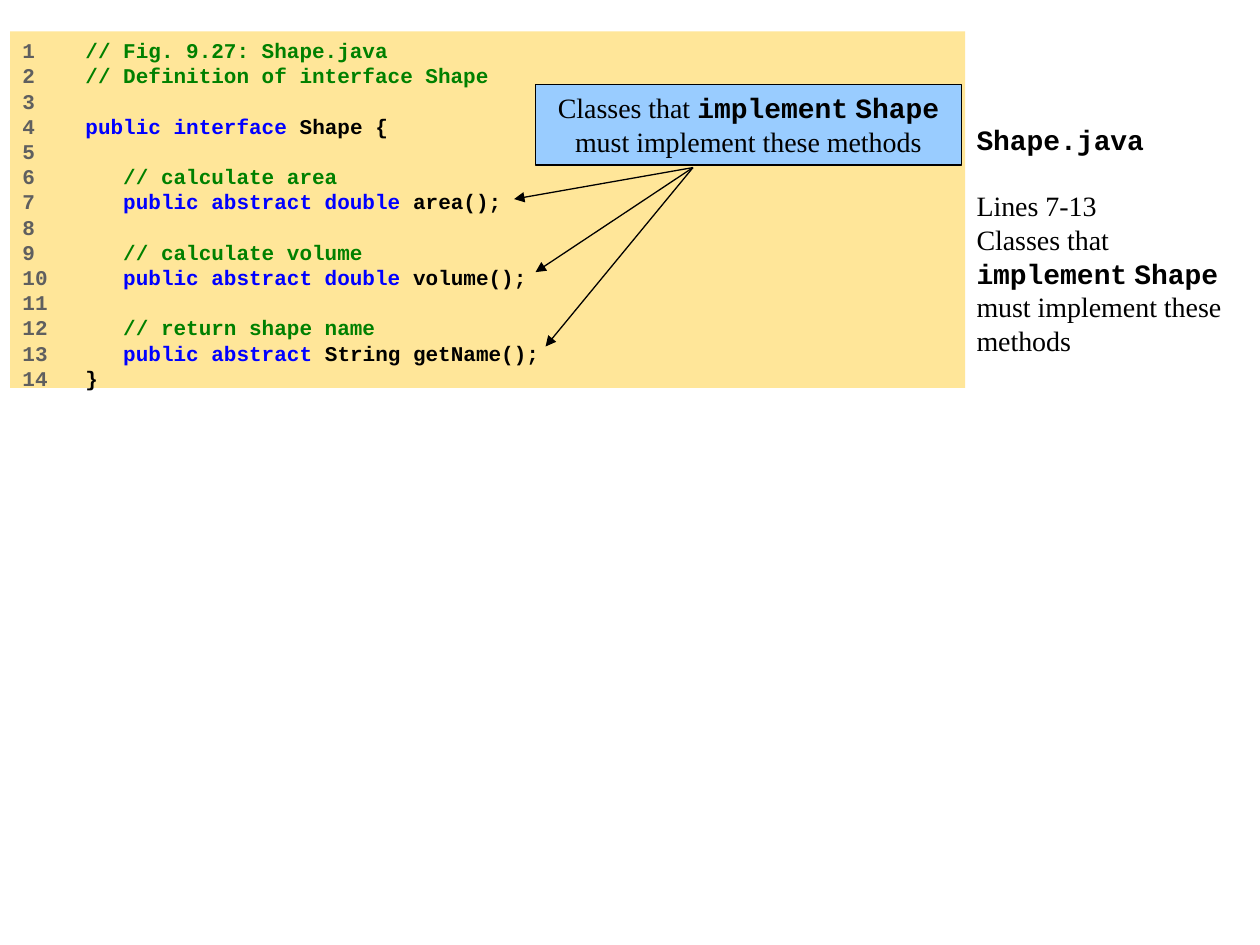
import pptx
import pptx.util
import pptx.dml.color
import pptx.enum.shapes
import pptx.enum.text
import pptx.oxml.ns
import lxml.etree

Inches, Pt = pptx.util.Inches, pptx.util.Pt
RGBColor = pptx.dml.color.RGBColor
ALIGN = pptx.enum.text.PP_ALIGN

BLACK = RGBColor(0x00, 0x00, 0x00)
GRAY = RGBColor(0x5F, 0x5F, 0x5F)
GREEN = RGBColor(0x00, 0x80, 0x00)
BLUE = RGBColor(0x00, 0x00, 0xFF)
CREAM = RGBColor(0xFF, 0xE6, 0x99)
SKY = RGBColor(0x99, 0xCC, 0xFF)
MONO, SERIF = "Courier New", "Times New Roman"

CODE = [
    [("// Fig. 9.27: Shape.java", GREEN)],
    [("// Definition of interface Shape", GREEN)],
    [],
    [("public interface", BLUE), (" Shape {", BLACK)],
    [],
    [("   // calculate area", GREEN)],
    [("   public abstract double ", BLUE), ("area();", BLACK)],
    [],
    [("   // calculate volume", GREEN)],
    [("   public abstract double", BLUE), (" volume();", BLACK)],
    [],
    [("   // return shape name", GREEN)],
    [("   public abstract ", BLUE), ("String getName();", BLACK)],
    [("}", BLACK)],
]
RULE = [
    ("Classes that ", SERIF),
    ("implement", MONO),
    (" ", SERIF),
    ("Shape", MONO),
    (" must implement these methods", SERIF),
]


def add_text(paragraph, text, font=SERIF, size=16, color=BLACK):
    """Append a run; monospaced text is bold."""
    run = paragraph.add_run()
    run.text = text
    run.font.name = font
    run.font.size = Pt(size)
    run.font.bold = font == MONO
    run.font.color.rgb = color


def add_rule(paragraph):
    """Write the sentence about implementing classes."""
    for text, font in RULE:
        add_text(paragraph, text, font=font)


def add_panel(shapes, box, fill):
    """Add a filled rectangle whose text starts at the top."""
    panel = shapes.add_shape(pptx.enum.shapes.MSO_SHAPE.RECTANGLE, *map(Inches, box))
    panel.shadow.inherit = False
    panel.fill.solid()
    panel.fill.fore_color.rgb = fill
    panel.line.fill.background()
    panel.text_frame.word_wrap = True
    panel.text_frame.vertical_anchor = pptx.enum.text.MSO_ANCHOR.TOP
    return panel


def add_listing(shapes, box):
    """Place the numbered source code."""
    frame = add_panel(shapes, box, CREAM).text_frame
    for number, tokens in enumerate(CODE, 1):
        line = frame.paragraphs[0] if number == 1 else frame.add_paragraph()
        line.alignment = ALIGN.LEFT
        line.line_spacing = Pt(14.4)
        label = str(number).ljust(5) if tokens else str(number)
        add_text(line, label, font=MONO, size=12, color=GRAY)
        for text, color in tokens:
            add_text(line, text, font=MONO, size=12, color=color)


def add_notes(shapes, box):
    """Place the file name and the remarks beside the code."""
    frame = shapes.add_textbox(*map(Inches, box)).text_frame
    frame.word_wrap = True
    frame.margin_left = 0
    add_text(frame.paragraphs[0], "Shape.java", font=MONO)
    lines = frame.add_paragraph()
    lines.space_before = Pt(19)
    add_text(lines, "Lines 7-13")
    add_rule(frame.add_paragraph())


def add_arrow(shapes, start, end):
    """Draw a thin black arrow."""
    arrow = shapes.add_connector(
        pptx.enum.shapes.MSO_CONNECTOR.STRAIGHT, *map(Inches, start + end))
    arrow.line.color.rgb = BLACK
    arrow.line.width = Pt(0.75)
    qn = pptx.oxml.ns.qn
    lxml.etree.SubElement(arrow.line._get_or_add_ln(), qn("a:tailEnd"), type="triangle")
    lxml.etree.SubElement(arrow._element.spPr, qn("a:effectLst"))


def add_callout(shapes, box):
    """Place the callout and its arrows to the three methods."""
    left, top, width, height = box
    group = shapes.add_group_shape().shapes
    callout = add_panel(group, box, SKY)
    callout.line.color.rgb = BLACK
    callout.line.width = Pt(0.75)
    sentence = callout.text_frame.paragraphs[0]
    sentence.alignment = ALIGN.CENTER
    add_rule(sentence)
    start = (left + 1.25, top + height + 0.02)
    for dx, dy in [(-0.17, 0.91), (0, 1.49), (0.08, 2.08)]:
        add_arrow(group, start, (left + dx, top + dy))


def main():
    """Build the slide and save it."""
    deck = pptx.Presentation()
    deck.slide_width, deck.slide_height = Inches(10), Inches(7.5)
    shapes = deck.slides.add_slide(deck.slide_layouts[6]).shapes
    add_notes(shapes, (7.75, 0.92, 2.25, 6))
    add_listing(shapes, (0.08, 0.25, 7.58, 2.83))
    add_callout(shapes, (4.25, 0.67, 3.38, 0.64))
    deck.save("out.pptx")


if __name__ == "__main__":
    main()
